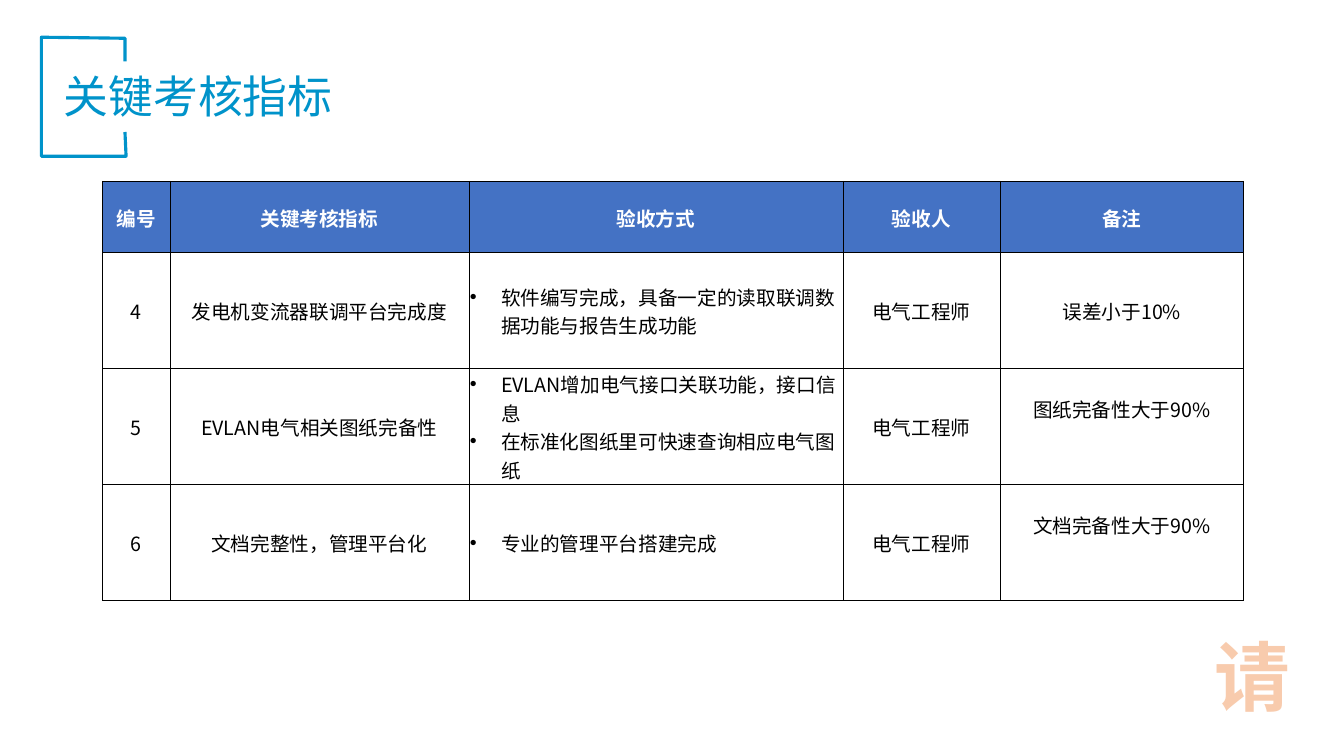
import dataclasses
import typing

import lxml.etree
import pptx
import pptx.dml.color
import pptx.enum.text
import pptx.oxml.ns
import pptx.util

RGB = pptx.dml.color.RGBColor
BLUE = RGB(0x00, 0x93, 0xCA)
HEAD = RGB(0x44, 0x72, 0xC4)
WHITE = RGB(0xFF, 0xFF, 0xFF)
BLACK = RGB(0x00, 0x00, 0x00)
PEACH = RGB(0xF8, 0xCB, 0xAD)
ORANGE = RGB(0xED, 0x7D, 0x31)
FONT = "Noto Sans CJK SC"
WIDE = pptx.util.Inches(13.33)
HIGH = pptx.util.Inches(7.5)
ALIGN = pptx.enum.text.PP_ALIGN
MIDDLE = pptx.enum.text.MSO_ANCHOR.MIDDLE
qn = pptx.oxml.ns.qn


@dataclasses.dataclass
class Style:
    size: float
    color: RGB
    bold: bool = False


@dataclasses.dataclass
class Item:
    code: str
    goal: str
    checks: list[str]
    owner: str
    note: str
    lift: float = 0


TITLE = Style(32, BLUE)
LABEL = Style(14, WHITE, True)
BODY = Style(14, BLACK)
STAMP = Style(54, PEACH, True)
FRAME = [(9.3, 17.47), (9.38, 20.67), (3.08, 20.67), (3.08, 4.93), (9.3, 5.07), (9.3, 8.13)]
COLS = [4.99, 22.25, 27.83, 11.68, 18.15]
ROWS = [9.39, 15.34, 15.34, 15.34]
HEADS = ["编号", "关键考核指标", "验收方式", "验收人", "备注"]
ITEMS = [
    Item("4", "发电机变流器联调平台完成度",
         ["软件编写完成，具备一定的读取联调数据功能与报告生成功能"],
         "电气工程师", "误差小于10%"),
    Item("5", "EVLAN电气相关图纸完备性",
         ["EVLAN增加电气接口关联功能，接口信息", "在标准化图纸里可快速查询相应电气图纸"],
         "电气工程师", "图纸完备性大于90%", 4.8),
    Item("6", "文档完整性，管理平台化", ["专业的管理平台搭建完成"],
         "电气工程师", "文档完备性大于90%", 4.8),
]


def col(share: float) -> int:
    return round(WIDE * share / 100)


def row(share: float) -> int:
    return round(HIGH * share / 100)


def line(host: typing.Any, tag: str, width: float, color: RGB, spot: int) -> None:
    edge = lxml.etree.Element(qn(tag), w=str(pptx.util.Pt(width)))
    fill = lxml.etree.SubElement(edge, qn("a:solidFill"))
    lxml.etree.SubElement(fill, qn("a:srgbClr"), val=str(color))
    host.insert(spot, edge)


def write(para: typing.Any, text: str, style: Style, align: ALIGN) -> typing.Any:
    para.alignment = align
    run = para.add_run()
    run.text = text
    run.font.size = pptx.util.Pt(style.size)
    run.font.bold = style.bold
    run.font.color.rgb = style.color
    run.font.name = FONT
    props = run._r.get_or_add_rPr()
    lxml.etree.SubElement(props, qn("a:ea"), typeface=FONT)
    return props


def bullet(para: typing.Any) -> None:
    props = para._p.get_or_add_pPr()
    indent = pptx.util.Inches(0.31)
    props.set("marL", str(indent))
    props.set("indent", str(-indent))
    lxml.etree.SubElement(props, qn("a:buFont"), typeface="Arial")
    lxml.etree.SubElement(props, qn("a:buChar"), char="•")


def fill_cell(cell: typing.Any, texts: list[str], style: Style,
              marked: bool = False, lift: float = 0) -> None:
    cell.vertical_anchor = MIDDLE
    cell.margin_left = cell.margin_right = cell.margin_top = pptx.util.Inches(0.01)
    cell.margin_bottom = row(lift)
    if style is LABEL:
        cell.fill.solid()
        cell.fill.fore_color.rgb = HEAD
    else:
        cell.fill.background()
    props = cell._tc.get_or_add_tcPr()
    for spot, side in enumerate("LRTB"):
        width = 1 if style is LABEL and side == "T" else 0.5
        line(props, f"a:ln{side}", width, BLACK, spot)
    frame = cell.text_frame
    for place, text in enumerate(texts):
        para = frame.add_paragraph() if place else frame.paragraphs[0]
        if marked:
            bullet(para)
        write(para, text, style, ALIGN.LEFT if marked else ALIGN.CENTER)


def add_frame(slide: typing.Any) -> None:
    spots = [(col(x), row(y)) for x, y in FRAME]
    build = slide.shapes.build_freeform(*spots[0])
    build.add_line_segments(spots[1:], close=False)
    shape = build.convert_to_shape()
    shape.shadow.inherit = False
    shape.fill.background()
    shape.line.color.rgb = BLUE
    shape.line.width = pptx.util.Pt(2.25)


def add_title(slide: typing.Any) -> None:
    title = slide.shapes.title
    title.left, title.top = col(3.98), row(8.4)
    title.width, title.height = col(73.14), row(8.53)
    frame = title.text_frame
    frame.auto_size = pptx.enum.text.MSO_AUTO_SIZE.NONE
    frame.vertical_anchor = MIDDLE
    frame.margin_top = frame.margin_bottom = 0
    write(frame.paragraphs[0], "关键考核指标", TITLE, ALIGN.LEFT)


def add_grid(slide: typing.Any) -> None:
    table = slide.shapes.add_table(len(ROWS), len(COLS), col(7.65), row(24),
                                   col(sum(COLS)), row(sum(ROWS))).table
    table.first_row = True
    table.horz_banding = False
    for part, share in zip(table.columns, COLS):
        part.width = col(share)
    for part, share in zip(table.rows, ROWS):
        part.height = row(share)
    for place, text in enumerate(HEADS):
        fill_cell(table.cell(0, place), [text], LABEL)
    for level, item in enumerate(ITEMS, 1):
        fill_cell(table.cell(level, 0), [item.code], BODY)
        fill_cell(table.cell(level, 1), [item.goal], BODY)
        fill_cell(table.cell(level, 2), item.checks, BODY, marked=True)
        fill_cell(table.cell(level, 3), [item.owner], BODY)
        fill_cell(table.cell(level, 4), [item.note], BODY, lift=item.lift)


def add_stamp(slide: typing.Any) -> None:
    box = slide.shapes.add_textbox(col(89.55), row(82.53), col(7.2), row(13.47))
    frame = box.text_frame
    frame.word_wrap = False
    frame.vertical_anchor = MIDDLE
    props = write(frame.paragraphs[0], "请", STAMP, ALIGN.CENTER)
    line(props, "a:ln", 1.75, ORANGE, 0)


def main() -> None:
    deck = pptx.Presentation()
    deck.slide_width, deck.slide_height = WIDE, HIGH
    slide = deck.slides.add_slide(deck.slide_layouts[5])
    add_frame(slide)
    add_title(slide)
    add_grid(slide)
    add_stamp(slide)
    deck.save("out.pptx")


if __name__ == "__main__":
    main()
